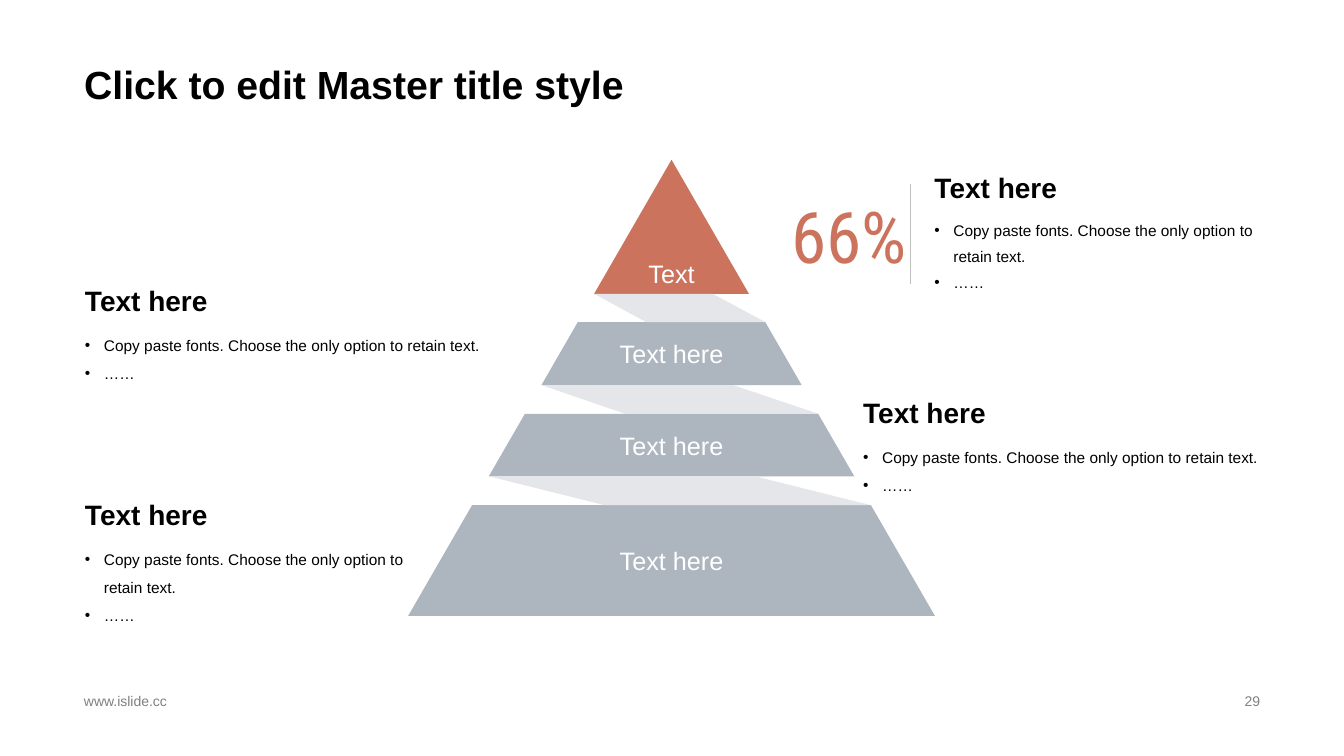
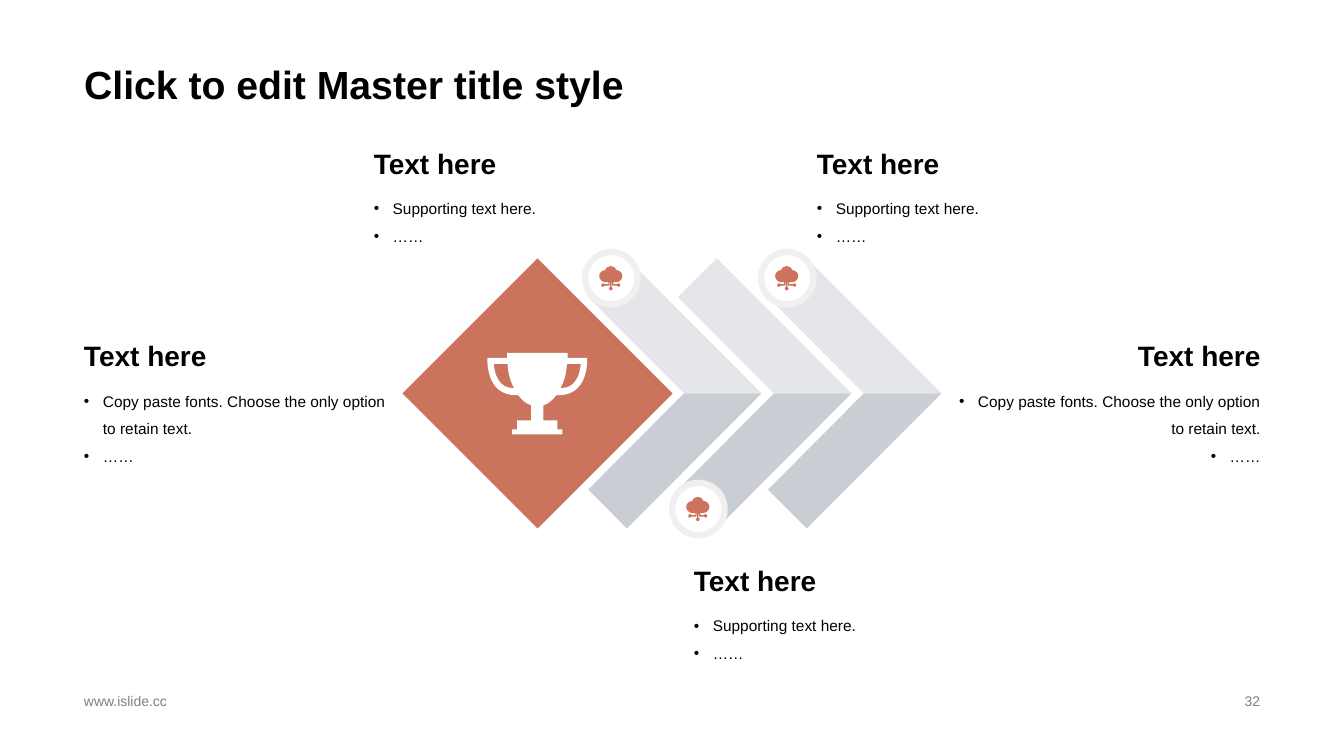
"""Build a pyramid slide and a chevron slide on a grid of tenth-inch cells."""
import dataclasses
import math
import typing

import lxml.etree
import pptx
import pptx.dml.color
import pptx.enum.shapes
import pptx.enum.text
import pptx.oxml.ns
import pptx.util

CELL = pptx.util.Inches(0.1)
COLS, ROWS = 133.33, 75
RUST, STEEL, MIST, FOG = "CC735E", "ADB5BF", "E4E6EA", "C9CED5"
BLACK, WHITE, GREY, RULE, RING = "000000", "FFFFFF", "808080", "BFBFBF", "F0F0F0"
FONT = "Arial"
LEFT, WIDE = 7.35, 118.7
MID = 66.62
ALIGN = pptx.enum.text.PP_ALIGN
ANCHOR = pptx.enum.text.MSO_ANCHOR
KIND = pptx.enum.shapes.MSO_SHAPE
LONG = "Copy paste fonts. Choose the only option to retain text."
SHORT = "Supporting text here."

Step = tuple[float, ...]


@dataclasses.dataclass
class Note:
    """A heading with two bullets below it."""
    col: float
    row: float
    wide: float
    tall: float
    text: str = LONG
    align: typing.Any = ALIGN.LEFT
    space: float = 1.5


@dataclasses.dataclass
class Tier:
    """One level of the pyramid."""
    top: float
    base: float
    text: str = "Text here"
    fill: str = STEEL
    anchor: typing.Any = ANCHOR.MIDDLE


@dataclasses.dataclass
class Fold:
    """A ribbon between two tiers, with its upper right and lower left columns."""
    right: float
    left: float


TIERS = [
    Tier(15.85, 29.15, "Text", RUST, ANCHOR.BOTTOM),
    Tier(31.95, 38.2),
    Tier(41.05, 47.25),
    Tier(50.12, 61.1),
]
FOLDS = [Fold(70.7, 64.1), Fold(72.7, 62), Fold(74.9, 60)]
LEVELS = [
    Note(91.72, 15.9, 34.2, 8.9, space=1.4),
    Note(7.45, 27.15, 44.7, 8.3),
    Note(84.65, 38.25, 41.3, 8.5),
    Note(7.45, 48.4, 34.7, 9.8),
]
STEPS = [
    Note(LEFT, 32.65, 32, 11.6),
    Note(93.35, 32.65, 32.7, 11.6, align=ALIGN.RIGHT),
    Note(36.1, 13.55, 24, 7.2, SHORT),
    Note(80.05, 13.55, 24, 7.2, SHORT),
    Note(67.85, 54.95, 24, 7.2, SHORT),
]
BADGES = [(58.05, 25), (66.68, 47.9), (75.5, 25)]

CLOUD = [
    (0, 0), (0.28, 0, 0.5, 0.16, 0.56, 0.4),
    (0.88, 0.42, 1.15, 0.68, 1.15, 1), (1.15, 1.3, 0.85, 1.6, 0.55, 1.6),
    (0.25, 1.6), (0.25, 1.8), (0.6, 1.8), (0.6, 1.7, 0.7, 1.7, 0.75, 1.7),
    (0.85, 1.7, 0.95, 1.8, 0.95, 1.9), (0.95, 2, 0.85, 2.05, 0.75, 2.05),
    (0.7, 2.05, 0.65, 2.05, 0.6, 1.95), (0.2, 1.95),
    (0.15, 1.95, 0.12, 1.93, 0.12, 1.9), (0.12, 1.6),
    (0.06, 1.6), (0.06, 2.05), (0.15, 2.08, 0.2, 2.13, 0.2, 2.2),
    (0.2, 2.33, 0.1, 2.4, 0, 2.4),
]
CUP = [
    (0, 0), (3, 0), (3, 0, 3, 0.2, 3, 0.5), (4.95, 0.5), (4.95, 0.8),
    (4.95, 0.9, 4.95, 2.7, 3.9, 3.6), (3.4, 4, 2.9, 4.2, 2.2, 4.2),
    (2.1, 4.2, 2, 4.2, 1.9, 4.2), (1.5, 4.7, 1.1, 5.1, 0.6, 5.2), (0.6, 6.7),
    (2, 6.7), (2, 7.6), (2.5, 7.6), (2.5, 8.1), (0, 8.1),
]
GRIP = [
    (3.5, 3.1), (4.1, 2.6, 4.3, 1.6, 4.3, 1.1), (2.95, 1.1),
    (2.9, 1.8, 2.8, 2.5, 2.45, 3.2), (2.4, 3.3, 2.35, 3.4, 2.3, 3.5),
    (2.8, 3.5, 3.2, 3.4, 3.5, 3.1),
]


def grid(cells: float) -> int:
    """Turn grid cells into a length."""
    return round(cells * CELL)


def tint(code: str) -> pptx.dml.color.RGBColor:
    """Turn a hex string into a colour."""
    return pptx.dml.color.RGBColor.from_string(code)


def paint(shape: typing.Any, fill: str, line: str = "", width: float = 1) -> None:
    """Set the fill and line of a shape and drop its shadow."""
    shape.shadow.inherit = False
    shape.fill.solid()
    shape.fill.fore_color.rgb = tint(fill)
    if line:
        shape.line.color.rgb = tint(line)
        shape.line.width = pptx.util.Pt(width)
    else:
        shape.line.fill.background()


def dot(para: typing.Any) -> None:
    """Give a paragraph a bullet and a hanging indent."""
    props = para._p.get_or_add_pPr()
    props.set("marL", str(grid(1.88)))
    props.set("indent", str(-grid(1.88)))
    name = pptx.oxml.ns.qn
    lxml.etree.SubElement(props, name("a:buFont")).set("typeface", FONT)
    lxml.etree.SubElement(props, name("a:buChar")).set("char", "•")


def write(shape: typing.Any, *lines: str, size: float = 11, color: str = BLACK,
          bold: bool = False, font: str = FONT, align: typing.Any = ALIGN.LEFT,
          anchor: typing.Any = ANCHOR.TOP, space: float = 1,
          wrap: bool = True, dots: bool = False) -> None:
    """Fill a shape with formatted lines of text."""
    frame = shape.text_frame
    frame.auto_size = pptx.enum.text.MSO_AUTO_SIZE.NONE
    frame.word_wrap = wrap
    frame.vertical_anchor = anchor
    for rank, line in enumerate(lines):
        para = frame.add_paragraph() if rank else frame.paragraphs[0]
        if dots:
            dot(para)
        para.alignment = align
        para.line_spacing = space
        para.space_before = pptx.util.Pt(0)
        run = para.add_run()
        run.text = line
        run.font.name = font
        run.font.size = pptx.util.Pt(size)
        run.font.bold = bold
        run.font.color.rgb = tint(color)


def box(slide: typing.Any, col: float, row: float, wide: float, tall: float) -> typing.Any:
    """Add a text box on the grid."""
    return slide.shapes.add_textbox(*map(grid, (col, row, wide, tall)))


def stamp(slide: typing.Any, kind: typing.Any, col: float, row: float, size: float,
          fill: str, line: str = "", width: float = 1) -> None:
    """Add a square preset shape on the grid."""
    item = slide.shapes.add_shape(kind, *map(grid, (col, row, size, size)))
    paint(item, fill, line, width)


def pairs(step: Step) -> list[Step]:
    """Split a step into its points."""
    return [step[k:k + 2] for k in range(0, len(step), 2)]


def draw(slide: typing.Any, fill: str, *rings: list[Step]) -> typing.Any:
    """Add a freeform of closed rings, where a step of three points is a curve."""
    pen = None
    for ring in rings:
        first, *rest = [tuple(map(grid, dab)) for step in ring for dab in pairs(step)]
        if pen:
            pen.move_to(*first)
        else:
            pen = slide.shapes.build_freeform(*first, scale=1.0)
        pen.add_line_segments(rest, close=True)
    item = pen.convert_to_shape()
    name = pptx.oxml.ns.qn
    legs = iter(list(item._element.iter(name("a:lnTo"))))
    for step in (step for ring in rings for step in ring[1:]):
        parts = [next(legs) for dab in pairs(step)]
        if len(parts) == 3:
            curve = lxml.etree.Element(name("a:cubicBezTo"))
            parts[0].addprevious(curve)
            for part in parts:
                curve.append(part[0])
                part.getparent().remove(part)
    paint(item, fill)
    return item


def flip(ring: list[Step]) -> list[Step]:
    """Mirror steps left to right and run them backwards."""
    dabs = [[(-x, y) for x, y in pairs(step)] for step in ring]
    turned = [dabs[-1][-1]]
    for last, step in reversed(list(zip(dabs, dabs[1:]))):
        turned.append(sum([*reversed(step[:-1]), last[-1]], ()))
    return turned


def twin(ring: list[Step]) -> list[Step]:
    """Join the right half of an outline to its mirror."""
    return ring + flip(ring)[1:]


def shift(ring: list[Step], col: float, row: float) -> list[Step]:
    """Move steps on the grid."""
    return [sum(((x + col, y + row) for x, y in pairs(step)), ()) for step in ring]


def note(slide: typing.Any, item: Note) -> None:
    """Draw a heading and its bullets."""
    write(box(slide, item.col, item.row, item.wide, 4.8), "Text here", size=20,
          bold=True, align=item.align, anchor=ANCHOR.BOTTOM, wrap=False)
    write(box(slide, item.col, item.row + 4.8, item.wide, item.tall), item.text, "……",
          align=item.align, space=item.space, dots=True)


def start(deck: typing.Any, page: str) -> typing.Any:
    """Add a slide with the shared title and footer."""
    slide = deck.slides.add_slide(deck.slide_layouts[5])
    title = slide.shapes.title
    title.left, title.top, title.width, title.height = map(grid, (LEFT, 0, WIDE, 11.2))
    write(title, "Click to edit Master title style", size=28, bold=True,
          anchor=ANCHOR.BOTTOM, space=0.9)
    write(box(slide, LEFT, 68.4, 45.3, 2.3), "www.islide.cc", size=10, color=GREY,
          anchor=ANCHOR.MIDDLE)
    write(box(slide, 94.2, 68.4, 31.8, 2.3), page, size=10, color=GREY,
          align=ALIGN.RIGHT, anchor=ANCHOR.MIDDLE)
    return slide


def half(row: float) -> float:
    """Give half the width of the pyramid at a row."""
    return (row - TIERS[0].top) * math.tan(math.radians(30))


def stack(slide: typing.Any) -> None:
    """Draw the pyramid, its ribbons and its notes."""
    for tier in TIERS:
        top, base = half(tier.top), half(tier.base)
        crown = [(MID - top, tier.top), (MID + top, tier.top)] if top else [(MID, tier.top)]
        ring = [(MID - base, tier.base), *crown, (MID + base, tier.base)]
        write(draw(slide, tier.fill, ring), tier.text, size=18, color=WHITE,
              align=ALIGN.CENTER, anchor=tier.anchor, wrap=False)
    for fold, above, below in zip(FOLDS, TIERS, TIERS[1:]):
        draw(slide, MIST, [(MID - half(above.base), above.base), (fold.right, above.base),
                           (MID + half(below.top), below.top), (fold.left, below.top)])
    write(box(slide, 77.5, 19.4, 10.4, 7.8), "66%", size=51, color=RUST,
          font="Roboto Condensed", anchor=ANCHOR.MIDDLE, wrap=False)
    line = slide.shapes.add_connector(pptx.enum.shapes.MSO_CONNECTOR.STRAIGHT,
                                      *map(grid, (90.3, 18.3, 90.3, 28.15)))
    line.line.color.rgb = tint(RULE)
    line.line.width = pptx.util.Pt(0.25)
    lxml.etree.SubElement(line._element.spPr, pptx.oxml.ns.qn("a:effectLst"))
    for item in LEVELS:
        note(slide, item)


def chain(slide: typing.Any) -> None:
    """Draw the diamond, its chevrons, badges and notes."""
    axis, reach = 39.03, 13.4
    stamp(slide, KIND.DIAMOND, 39.93, axis - reach, 2 * reach, RUST)
    for rank in range(3):
        for side, fill in ((-1, MIST), (1, FOG)):
            arm = [(0, 9.55 * side), (3.85, reach * side), (17.2, 0), (9.5, 0)]
            draw(slide, fill, shift(arm, 58.35 + 8.92 * rank, axis))
    for col, row in BADGES:
        stamp(slide, KIND.OVAL, col, row, 5.2, WHITE, RING, 4.5)
        draw(slide, RUST, shift(twin(CLOUD), col + 2.55, row + 1.4))
    rings = (twin(CUP), GRIP, flip(GRIP))
    draw(slide, WHITE, *(shift(ring, 53.3, 35) for ring in rings))
    for item in STEPS:
        note(slide, item)


def main() -> None:
    """Build and save the deck."""
    deck = pptx.Presentation()
    deck.slide_width, deck.slide_height = grid(COLS), grid(ROWS)
    stack(start(deck, "29"))
    chain(start(deck, "32"))
    deck.save("out.pptx")


if __name__ == "__main__":
    main()
